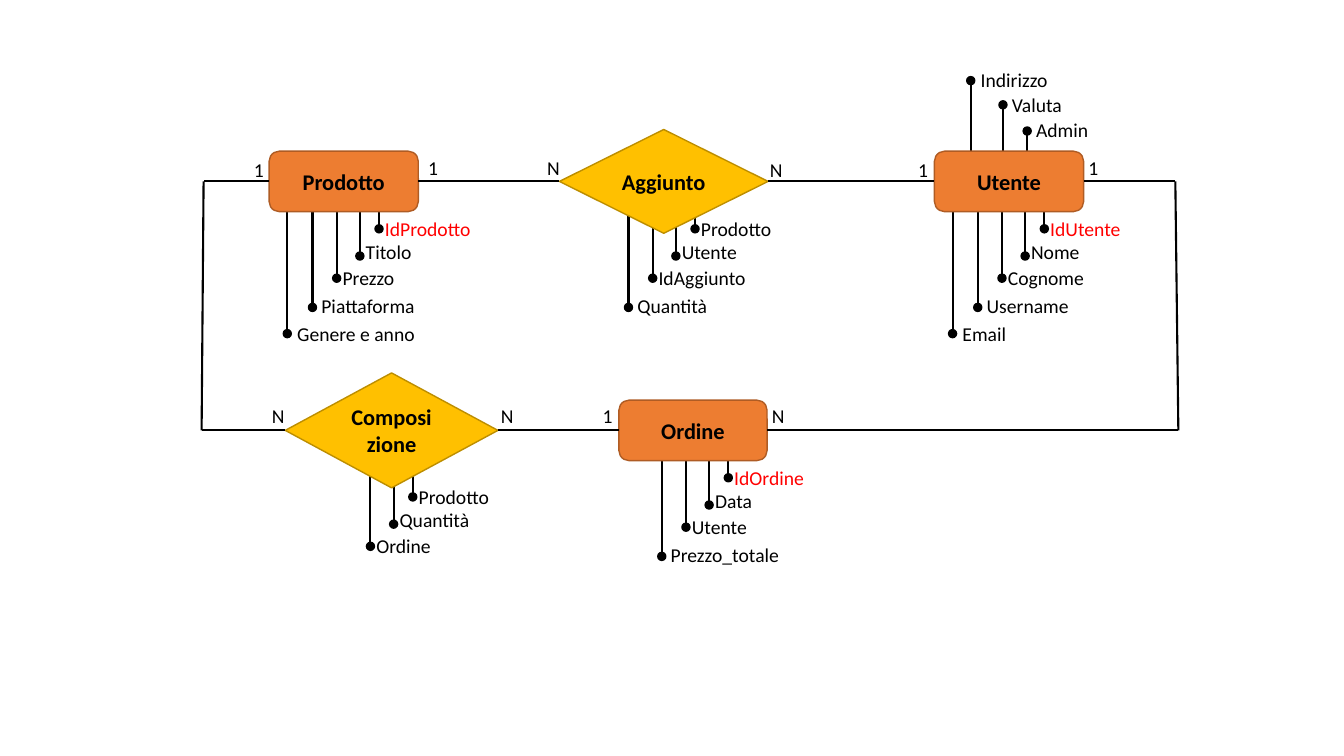
"""Draw an entity-relationship diagram of products, users and orders."""
import dataclasses
import itertools

import pptx
import pptx.dml.color
import pptx.enum.shapes
import pptx.enum.text
import pptx.oxml.ns
import pptx.util
from lxml import etree

SHAPES = pptx.enum.shapes.MSO_SHAPE
CELL = pptx.util.Inches(0.1)
COLS, ROWS = 133.33, 75
TOP_ROW, BOTTOM_ROW = 18, 42.7
DOT, LABEL_H = 0.8, 3.4
COLORS = {
    "ink": "000000",
    "key": "FF0000",
    "entity": "ED7D31",
    "entity_edge": "AF5C24",
    "relation": "FFC000",
    "relation_edge": "BD8E00",
}


@dataclasses.dataclass(frozen=True)
class Slot:
    """Place of an attribute, measured from the centre of its node."""
    dx: float
    dy: float
    label_dx: float
    label_dy: float
    label_w: float


@dataclasses.dataclass(frozen=True)
class Node:
    """An entity or a relation with the attributes hanging from it."""
    name: str
    kind: str
    x: float
    y: float
    w: float
    h: float
    below: tuple[str, ...]
    above: tuple[str, ...] = ()
    shift: float = 0
    drop: float = 0

    @property
    def left(self) -> tuple[float, float]:
        """Middle of the left side."""
        return self.x - self.w / 2, self.y

    @property
    def right(self) -> tuple[float, float]:
        """Middle of the right side."""
        return self.x + self.w / 2, self.y


@dataclasses.dataclass(frozen=True)
class Cardinality:
    """A mark beside the end of a link."""
    text: str
    left: float
    y: float


BELOW = (
    Slot(3.5, 4.7, -0.4, 4.75, 11.1),
    Slot(1.6, 7.4, -0.4, 7, 9.5),
    Slot(-0.7, 9.6, -0.4, 9.6, 11),
    Slot(-3.1, 12.5, -0.1, 12.4, 16.6),
    Slot(-5.6, 15.1, 0, 15.1, 16.6),
)
ABOVE = (
    Slot(-3.8, -10, 0, -10.1, 11.1),
    Slot(-0.6, -7.6, -0.1, -7.6, 11.1),
    Slot(1.8, -5, -0.1, -5.1, 11.1),
)

PRODOTTO = Node("Prodotto", "entity", 34.1, TOP_ROW, 14.8, 6,
                ("IdProdotto", "Titolo", "Prezzo", "Piattaforma", "Genere e anno"))
AGGIUNTO = Node("Aggiunto", "relation", 65.85, TOP_ROW, 20.7, 10.3,
                ("Prodotto", "Utente", "IdAggiunto", "Quantità"), shift=-0.4)
UTENTE = Node("Utente", "entity", 100.1, TOP_ROW, 14.8, 6,
              ("IdUtente", "Nome", "Cognome", "Username", "Email"),
              above=("Indirizzo", "Valuta", "Admin"))
COMPOSIZIONE = Node("Composizione", "relation", 38.85, BOTTOM_ROW, 21.1, 11.4,
                    ("Prodotto", "Quantità", "Ordine"), shift=-1.4, drop=1.9)
ORDINE = Node("Ordine", "entity", 68.75, BOTTOM_ROW, 14.7, 6,
              ("IdOrdine", "Data", "Utente", "Prezzo_totale"))
NODES = (PRODOTTO, AGGIUNTO, UTENTE, COMPOSIZIONE, ORDINE)

LINKS = (
    (PRODOTTO.right, AGGIUNTO.left),
    (AGGIUNTO.right, UTENTE.left),
    (COMPOSIZIONE.right, ORDINE.left),
    (PRODOTTO.left, (20.2, TOP_ROW), (20, BOTTOM_ROW), COMPOSIZIONE.left),
    (UTENTE.right, (116.6, TOP_ROW), (116.9, BOTTOM_ROW), ORDINE.right),
)
CARDINALITIES = (
    Cardinality("1", 24.2, 16.9),
    Cardinality("1", 41.5, 16.7),
    Cardinality("N", 53.3, 16.7),
    Cardinality("N", 75.4, 16.9),
    Cardinality("1", 90.1, 16.9),
    Cardinality("1", 107, 16.7),
    Cardinality("N", 26, 41.3),
    Cardinality("N", 48.7, 41.3),
    Cardinality("1", 58.8, 41.3),
    Cardinality("N", 75.6, 41.3),
)


def grid(*cells: float) -> list[int]:
    """Turn grid cells into slide lengths."""
    return [round(c * CELL) for c in cells]


def rgb(name: str) -> pptx.dml.color.RGBColor:
    """Look up a colour by name."""
    return pptx.dml.color.RGBColor.from_string(COLORS[name])


def write(sp, text: str, size: float, color: str, bold: bool = False) -> None:
    """Put one styled paragraph into a shape."""
    sp.text_frame.word_wrap = True
    p = sp.text_frame.paragraphs[0]
    p.text = text
    p.font.name, p.font.size, p.font.bold = "Calibri", pptx.util.Pt(size), bold
    p.font.color.rgb = rgb(color)


def add_label(s, text: str, left: float, y: float, w: float, color: str = "ink") -> None:
    """Add a text box centred on height y."""
    sp = s.shapes.add_textbox(*grid(left, y - LABEL_H / 2, w, LABEL_H))
    write(sp, text, 14, color)
    sp.text_frame.auto_size = pptx.enum.text.MSO_AUTO_SIZE.SHAPE_TO_FIT_TEXT


def add_line(s, start: tuple[float, float], end: tuple[float, float]) -> None:
    """Add a straight black line without shadow."""
    line = s.shapes.add_connector(
        pptx.enum.shapes.MSO_CONNECTOR.STRAIGHT, *grid(*start, *end))
    line.line.width = pptx.util.Pt(1.5)
    line.line.color.rgb = rgb("ink")
    etree.SubElement(line._element.spPr, pptx.oxml.ns.qn("a:effectLst"))


def add_box(s, kind, x: float, y: float, w: float, h: float, fill: str, edge: str):
    """Add a filled preset shape around a centre point."""
    sp = s.shapes.add_shape(kind, *grid(x - w / 2, y - h / 2, w, h))
    sp.shadow.inherit = False
    sp.fill.solid()
    sp.fill.fore_color.rgb = rgb(fill)
    sp.line.color.rgb = rgb(edge)
    sp.line.width = pptx.util.Pt(1)
    return sp


def add_attribute(s, node: Node, slot: Slot, text: str, color: str, drop: float) -> None:
    """Add the stem, dot and label of one attribute."""
    x, y = node.x + slot.dx + node.shift, node.y + slot.dy + drop
    add_line(s, (x, node.y), (x, y))
    add_box(s, SHAPES.OVAL, x, y, DOT, DOT, "ink", "ink")
    add_label(s, text, x + slot.label_dx, node.y + slot.label_dy + drop,
              slot.label_w, color)


def add_node(s, node: Node) -> None:
    """Add the attributes of a node, then its body over their stems."""
    for i, (slot, text) in enumerate(zip(BELOW, node.below)):
        color = "key" if i == 0 and node.kind == "entity" else "ink"
        add_attribute(s, node, slot, text, color, node.drop)
    for slot, text in zip(ABOVE, node.above):
        add_attribute(s, node, slot, text, "ink", 0)
    kind = SHAPES.ROUNDED_RECTANGLE if node.kind == "entity" else SHAPES.DIAMOND
    sp = add_box(s, kind, node.x, node.y, node.w, node.h, node.kind, node.kind + "_edge")
    write(sp, node.name, 16, "ink", bold=True)
    sp.text_frame.vertical_anchor = pptx.enum.text.MSO_ANCHOR.MIDDLE
    sp.text_frame.paragraphs[0].alignment = pptx.enum.text.PP_ALIGN.CENTER


def main() -> None:
    """Build and save the slide."""
    prs = pptx.Presentation()
    prs.slide_width, prs.slide_height = grid(COLS, ROWS)
    s = prs.slides.add_slide(prs.slide_layouts[6])
    for node in NODES:
        add_node(s, node)
    for link in LINKS:
        for start, end in itertools.pairwise(link):
            add_line(s, start, end)
    for mark in CARDINALITIES:
        add_label(s, mark.text, mark.left, mark.y, LABEL_H)
    prs.save("out.pptx")


main()
